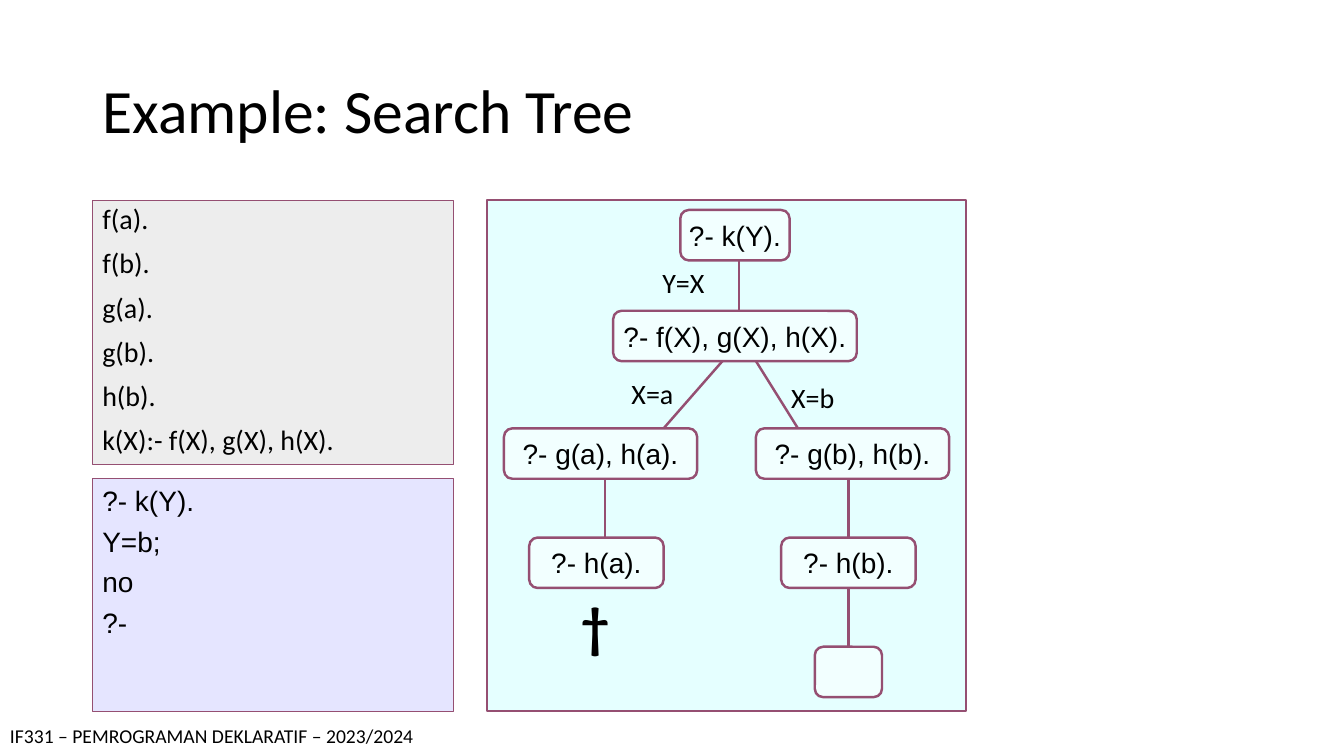
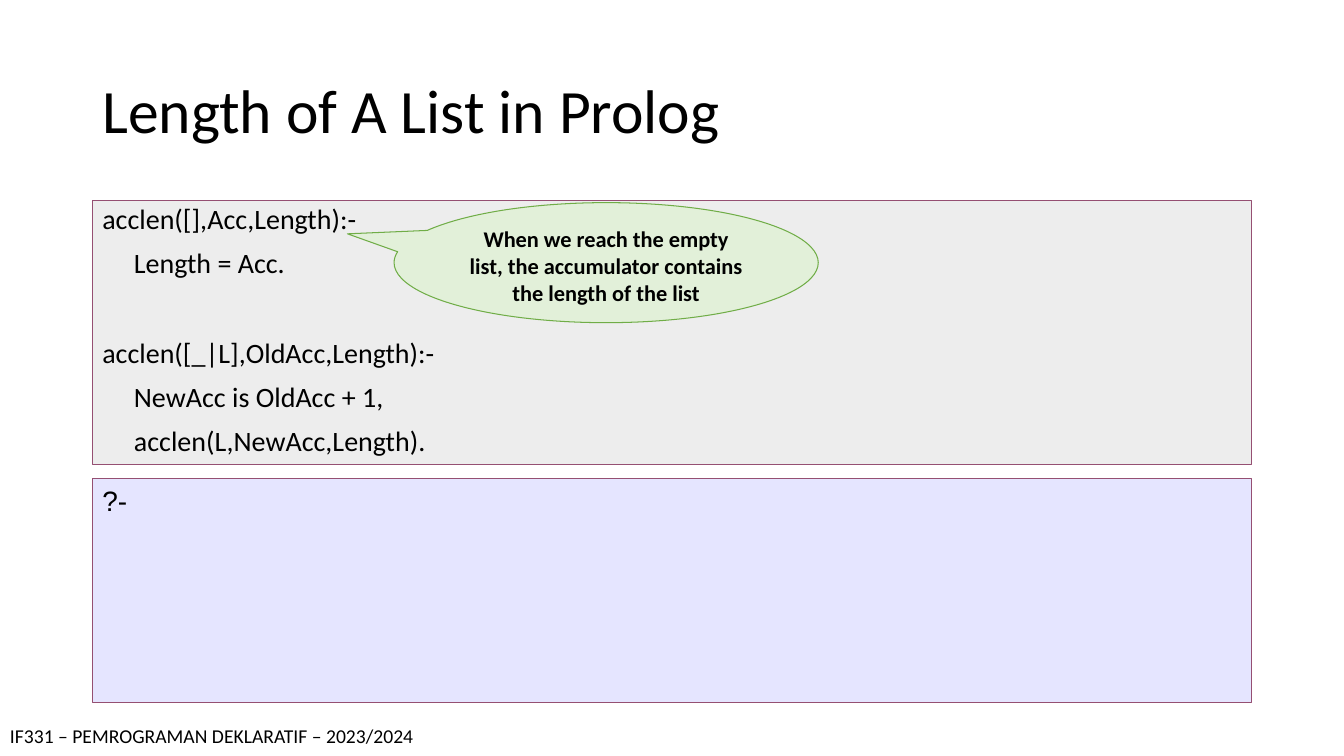
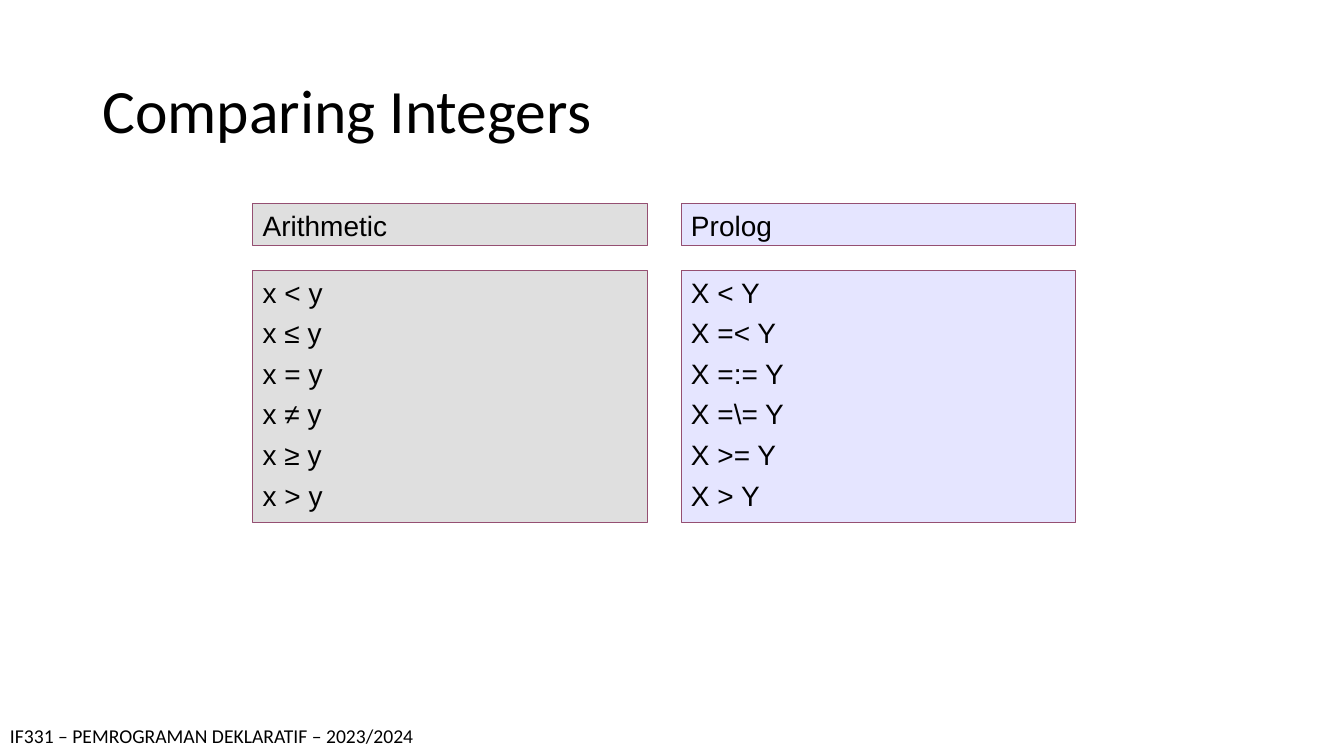
import pptx
import pptx.util
import pptx.dml.color
import pptx.enum.shapes
import pptx.enum.text
import pptx.oxml.ns
from lxml import etree

Pt = pptx.util.Pt
RGBColor = pptx.dml.color.RGBColor
MSO_SHAPE = pptx.enum.shapes.MSO_SHAPE
MSO_ANCHOR = pptx.enum.text.MSO_ANCHOR
MSO_AUTO_SIZE = pptx.enum.text.MSO_AUTO_SIZE
PP_ALIGN = pptx.enum.text.PP_ALIGN
qn = pptx.oxml.ns.qn

BLACK = RGBColor(0x00, 0x00, 0x00)
WHITE = RGBColor(0xFF, 0xFF, 0xFF)
PLUM = RGBColor(0x95, 0x4F, 0x72)
LIGHT_GRAY = RGBColor(0xDD, 0xDD, 0xDD)
GRAY = RGBColor(0xC0, 0xC0, 0xC0)
LAVENDER = RGBColor(0xCC, 0xCC, 0xFF)
CYAN = RGBColor(0xCC, 0xFF, 0xFF)
PALE_GREEN = RGBColor(0xE2, 0xF0, 0xD9)
GREEN = RGBColor(0x70, 0xAD, 0x47)

HEADING_FONT = "Calibri"
QUERY_FONT = "Arial"
FOOTER = "IF331 – PEMROGRAMAN DEKLARATIF – 2023/2024"
MARGIN = 66
CONTENT_WIDTH = 828
PROGRAM_TOP = 143.25
PROGRAM_HEIGHT = 188.75
QUERY_TOP = 342
NODE_HEIGHT = 36
NODE_TOPS = [7, 79, 163, 241, 319]


def write_lines(shape, lines, font_name, size=20, bold=False,
                align=PP_ALIGN.LEFT, line_spacing=None, gap=0):
    frame = shape.text_frame
    frame.text = "\n".join(lines)
    for index, paragraph in enumerate(frame.paragraphs):
        paragraph.alignment = align
        paragraph.line_spacing = line_spacing
        paragraph.space_before = Pt(gap if index else 0)
        for run in paragraph.runs:
            run.font.name = font_name
            run.font.size = Pt(size)
            run.font.bold = bold
            run.font.color.rgb = BLACK


def add_box(slide, kind, box, fill, line=PLUM, line_width=0.75, alpha=50):
    shape = slide.shapes.add_shape(kind, *map(Pt, box))
    shape.shadow.inherit = False
    shape.fill.solid()
    shape.fill.fore_color.rgb = fill
    if alpha < 100:
        color = shape.element.xpath("./p:spPr/a:solidFill/a:srgbClr")[0]
        etree.SubElement(color, qn("a:alpha"), val=str(alpha * 1000))
    shape.line.color.rgb = line
    shape.line.width = Pt(line_width)
    shape.text_frame.word_wrap = True
    shape.text_frame.vertical_anchor = MSO_ANCHOR.TOP
    return shape


def add_label(slide, box, text, size=20, bold=False, wrap=False):
    label = slide.shapes.add_textbox(*map(Pt, box))
    label.text_frame.word_wrap = wrap
    label.text_frame.auto_size = MSO_AUTO_SIZE.SHAPE_TO_FIT_TEXT
    write_lines(label, [text], HEADING_FONT, size, bold)


def add_edge(slide, start_x, start_y, end_x, end_y):
    edge = slide.shapes.add_connector(
        pptx.enum.shapes.MSO_CONNECTOR.STRAIGHT,
        Pt(start_x), Pt(start_y), Pt(end_x), Pt(end_y))
    edge.line.color.rgb = PLUM
    edge.line.width = Pt(1.75)
    etree.SubElement(edge.element.spPr, qn("a:effectLst"))


def add_titled_slide(presentation, text):
    slide = presentation.slides.add_slide(presentation.slide_layouts[5])
    title = slide.shapes.title
    title.left, title.top = Pt(MARGIN), Pt(28.75)
    title.width, title.height = Pt(CONTENT_WIDTH), Pt(104.4)
    write_lines(title, [text], HEADING_FONT, 44, line_spacing=0.9)
    title.text_frame.vertical_anchor = MSO_ANCHOR.MIDDLE
    title.text_frame.auto_size = MSO_AUTO_SIZE.NONE
    add_label(slide, (0, 513.5, 960, 24.25), FOOTER, 14, wrap=True)
    return slide


def add_program(slide, width, lines):
    box = (MARGIN, PROGRAM_TOP, width, PROGRAM_HEIGHT)
    panel = add_box(slide, MSO_SHAPE.RECTANGLE, box, LIGHT_GRAY)
    write_lines(panel, lines, HEADING_FONT, line_spacing=0.9, gap=10)
    return panel


def add_query(slide, box, lines, fill=LAVENDER):
    panel = add_box(slide, MSO_SHAPE.RECTANGLE, box, fill)
    write_lines(panel, lines, QUERY_FONT, gap=5)


def add_search_tree(slide, left, top, width, height):
    add_box(slide, MSO_SHAPE.RECTANGLE, (left, top, width, height), CYAN, line_width=1.5)
    nodes = [
        (138, 0, 78, "?- k(Y)."),
        (90, 1, 174, "?- f(X), g(X), h(X)."),
        (12, 2, 138, "?- g(a), h(a)."),
        (192, 2, 138, "?- g(b), h(b)."),
        (30, 3, 96, "?- h(a)."),
        (210, 3, 96, "?- h(b)."),
        (234, 4, 48, ""),
    ]
    for x, level, node_width, text in nodes:
        box = (left + x, top + NODE_TOPS[level], node_width, NODE_HEIGHT)
        node = add_box(slide, MSO_SHAPE.FLOWCHART_ALTERNATE_PROCESS, box, WHITE, line_width=1.75)
        if text:
            write_lines(node, [text], QUERY_FONT, align=PP_ALIGN.CENTER)
            node.text_frame.word_wrap = False
            node.text_frame.vertical_anchor = MSO_ANCHOR.MIDDLE

    edges = [(180, 0, 180), (168, 1, 126), (192, 1, 222),
             (84, 2, 84), (258, 2, 258), (258, 3, 258)]
    for start_x, level, end_x in edges:
        add_edge(slide, left + start_x, top + NODE_TOPS[level] + NODE_HEIGHT,
                 left + end_x, top + NODE_TOPS[level + 1])

    for x, y, text in [(118, 43, "Y=X"), (96, 122.5, "X=a"), (210, 125.5, "X=b")]:
        add_label(slide, (left + x, top + y, 50.4, 31), text)
    add_label(slide, (left + 60, top + 276, 39, 55.4), "†", 40, bold=True)


def add_callout(slide, box, text):
    callout = add_box(slide, MSO_SHAPE.OVAL_CALLOUT, box, PALE_GREEN, GREEN, alpha=100)
    callout.adjustments[0] = -0.61
    callout.adjustments[1] = -0.24
    write_lines(callout, [text], HEADING_FONT, 16, bold=True, align=PP_ALIGN.CENTER)


def add_comparison_column(slide, left, top, width, fill, heading, lines):
    add_query(slide, (left, top, width, 30), [heading], fill)
    add_query(slide, (left, top + 47.75, width, 180), lines, fill)


def build_search_tree_slide(presentation):
    slide = add_titled_slide(presentation, "Example: Search Tree")
    add_program(slide, 258, ["f(a).", "f(b).", "g(a).", "g(b).", "h(b).",
                             "k(X):- f(X), g(X), h(X)."])
    add_query(slide, (MARGIN, QUERY_TOP, 258, 166.25), ["?- k(Y).", "Y=b;", "no", "?-"])
    add_search_tree(slide, 348, 143, 342, 365)


def build_list_length_slide(presentation):
    slide = add_titled_slide(presentation, "Length of A List in Prolog")
    add_query(slide, (MARGIN, QUERY_TOP, CONTENT_WIDTH, 159.75), ["?-"])
    program = add_program(slide, CONTENT_WIDTH, [
        "acclen([],Acc,Length):-",
        "     Length = Acc.",
        "acclen([_|L],OldAcc,Length):-",
        "     NewAcc is OldAcc + 1,",
        "     acclen(L,NewAcc,Length).",
    ])
    program.text_frame.paragraphs[2].space_before = Pt(42)
    add_callout(slide, (281.5, 144.75, 303, 85.75),
                "When we reach the empty list, the accumulator contains the length of the list")


def build_comparison_slide(presentation):
    slide = add_titled_slide(presentation, "Comparing Integers")
    columns = [
        (GRAY, "Arithmetic", ["x < y", "x ≤ y", "x = y", "x ≠ y", "x ≥ y", "x > y"]),
        (LAVENDER, "Prolog", ["X < Y", "X =< Y", "X =:= Y", "X =\\= Y", "X >= Y", "X > Y"]),
    ]
    for index, (fill, heading, lines) in enumerate(columns):
        add_comparison_column(slide, 180.5 + index * 306, 145.25, 282, fill, heading, lines)


def main():
    presentation = pptx.Presentation()
    presentation.slide_width = Pt(960)
    presentation.slide_height = Pt(540)
    build_search_tree_slide(presentation)
    build_list_length_slide(presentation)
    build_comparison_slide(presentation)
    presentation.save("out.pptx")


if __name__ == "__main__":
    main()
